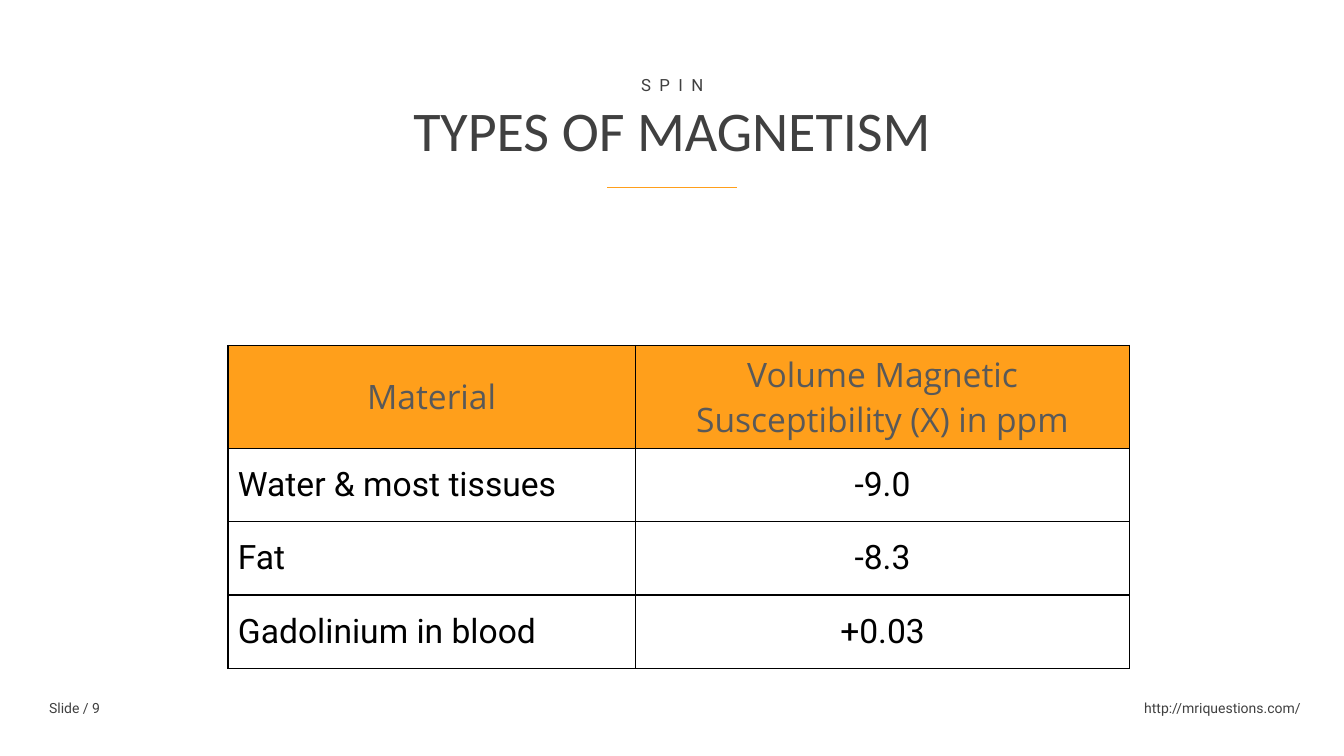
from lxml.etree import SubElement
from pptx import Presentation
from pptx.dml.color import RGBColor
from pptx.enum.shapes import MSO_CONNECTOR
from pptx.enum.text import MSO_ANCHOR, MSO_AUTO_SIZE, PP_ALIGN
from pptx.oxml import parse_xml
from pptx.oxml.ns import nsdecls, qn
from pptx.util import Pt

ORANGE = RGBColor(0xFF, 0x9F, 0x1B)
DARK_GRAY = RGBColor(0x40, 0x40, 0x40)
HEADER_GRAY = RGBColor(0x59, 0x59, 0x59)
BLACK = RGBColor(0, 0, 0)

COLUMN_WIDTHS = (291, 353.3)
ROW_HEIGHTS = (73.4, 52.4, 52.4, 52.4)
SUSCEPTIBILITIES = (
    ("Material", "Volume Magnetic Susceptibility (Χ) in ppm"),
    ("Water & most tissues", "-9.0"),
    ("Fat", "-8.3"),
    ("Gadolinium in blood", "+0.03"),
)


def write_text(frame, text, size=10, font="Roboto", color=DARK_GRAY,
               align=PP_ALIGN.LEFT, spacing=0):
    """Write one formatted paragraph into a text frame."""
    paragraph = frame.paragraphs[0]
    paragraph.alignment = align
    run = paragraph.add_run()
    run.text = text
    run.font.size = Pt(size)
    run.font.name = font
    run.font.color.rgb = color
    if spacing:
        run.font._element.set("spc", str(spacing * 100))


def add_label(slide, text, left, top, width, height, **text_format):
    """Add an unwrapped text box."""
    box = slide.shapes.add_textbox(Pt(left), Pt(top), Pt(width), Pt(height))
    frame = box.text_frame
    frame.word_wrap = False
    frame.auto_size = MSO_AUTO_SIZE.SHAPE_TO_FIT_TEXT
    write_text(frame, text, **text_format)


def add_rule(slide, left, right, top):
    """Add the thin horizontal rule under the title."""
    rule = slide.shapes.add_connector(
        MSO_CONNECTOR.STRAIGHT, Pt(left), Pt(top), Pt(right), Pt(top))
    rule.line.color.rgb = ORANGE
    rule.line.width = Pt(0.5)
    SubElement(rule._element.spPr, qn("a:effectLst"))


def set_borders(cell):
    """Give a cell a black one-point border on every side."""
    properties = cell._tc.get_or_add_tcPr()
    for index, side in enumerate("LRTB"):
        properties.insert(index, parse_xml(
            f'<a:ln{side} {nsdecls("a")} w="{Pt(1)}"><a:solidFill>'
            f'<a:srgbClr val="{BLACK}"/></a:solidFill></a:ln{side}>'))


def fill_cell(cell, text, is_header, is_first_column):
    """Fill, frame and write one table cell."""
    cell.vertical_anchor = MSO_ANCHOR.MIDDLE
    if is_header:
        cell.fill.solid()
        cell.fill.fore_color.rgb = ORANGE
    else:
        cell.fill.background()
    set_borders(cell)
    left_aligned = is_first_column and not is_header
    write_text(cell.text_frame, text, size=24,
               font="Open Sans" if is_header else "Roboto",
               color=HEADER_GRAY if is_header else BLACK,
               align=PP_ALIGN.LEFT if left_aligned else PP_ALIGN.CENTER)


def add_susceptibility_table(slide, left, top):
    """Add the table of materials and susceptibilities."""
    table = slide.shapes.add_table(
        len(ROW_HEIGHTS), len(COLUMN_WIDTHS), Pt(left), Pt(top),
        Pt(sum(COLUMN_WIDTHS)), Pt(sum(ROW_HEIGHTS))).table
    table.first_row = False
    table.horz_banding = False
    for column, width in zip(table.columns, COLUMN_WIDTHS):
        column.width = Pt(width)
    for row, height in zip(table.rows, ROW_HEIGHTS):
        row.height = Pt(height)
    for row_index, texts in enumerate(SUSCEPTIBILITIES):
        for column_index, text in enumerate(texts):
            fill_cell(table.cell(row_index, column_index), text,
                      row_index == 0, column_index == 0)


def main():
    """Build the slide and save it."""
    presentation = Presentation()
    presentation.slide_width = Pt(960)
    presentation.slide_height = Pt(540)
    slide = presentation.slides.add_slide(presentation.slide_layouts[6])
    add_label(slide, "Slide / 9", 28, 496, 58.3, 19.4)
    add_susceptibility_table(slide, 162.8, 246.8)
    add_label(slide, "http://mriquestions.com/", 807, 496, 129, 19.4,
              align=PP_ALIGN.RIGHT)
    add_label(slide, "TYPES OF MAGNETISM", 245.6, 65, 468.8, 55.4, size=40,
              font="Calibri", align=PP_ALIGN.CENTER)
    add_label(slide, "SPIN", 450.7, 49.8, 59, 21.8, size=12,
              align=PP_ALIGN.CENTER, spacing=6)
    add_rule(slide, 433.6, 526.4, 133.8)
    presentation.save("out.pptx")


if __name__ == "__main__":
    main()
